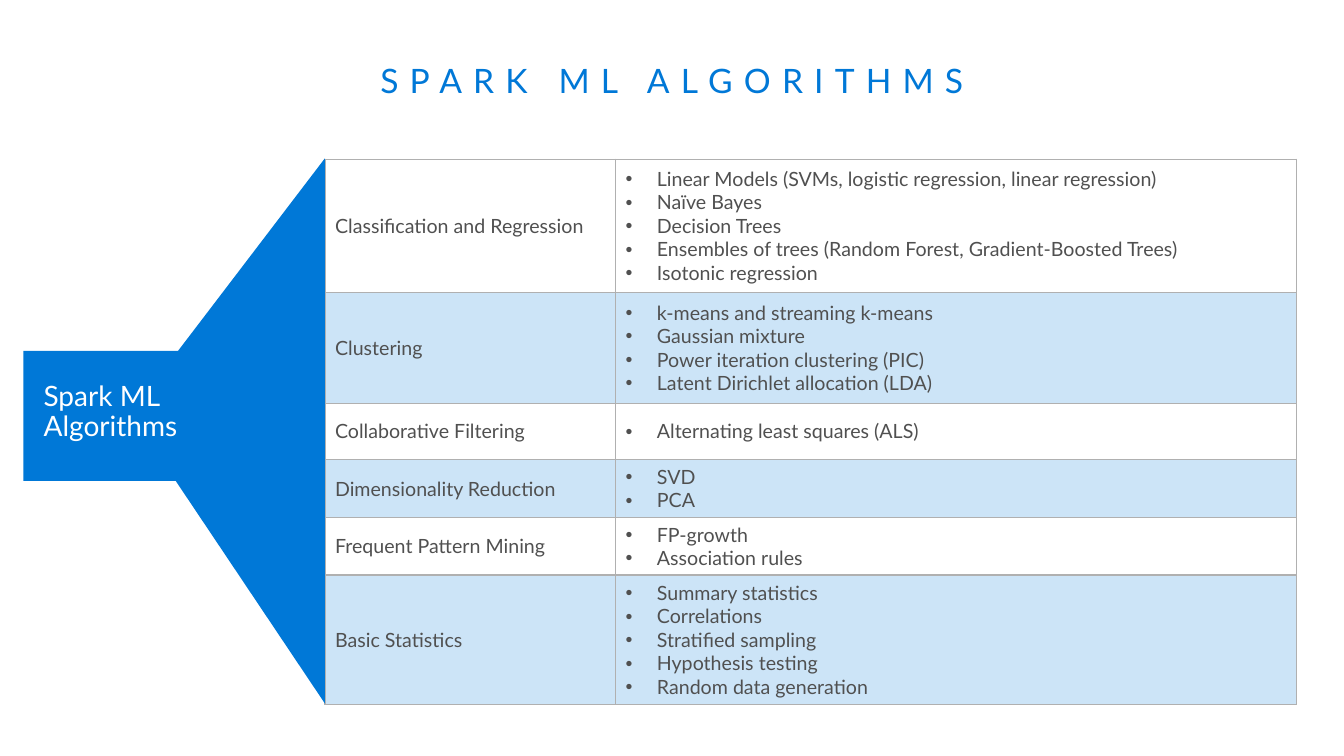
from lxml import etree
from pptx import Presentation
from pptx.dml.color import RGBColor
from pptx.enum.shapes import MSO_SHAPE
from pptx.enum.text import MSO_ANCHOR, MSO_AUTO_SIZE, PP_ALIGN
from pptx.oxml.ns import qn
from pptx.util import Cm, Pt

BLUE = RGBColor(0x00, 0x78, 0xD7)
GREY = RGBColor(0x50, 0x50, 0x50)
BORDER = RGBColor(0xB0, 0xB0, 0xB0)
WHITE = RGBColor(0xFF, 0xFF, 0xFF)
FONT = "Lato"
RECTANGLE = MSO_SHAPE.RECTANGLE
TRIANGLE = MSO_SHAPE.RIGHT_TRIANGLE
MIDDLE = MSO_ANCHOR.MIDDLE
TOP = MSO_ANCHOR.TOP
CENTER = PP_ALIGN.CENTER
LEFT = PP_ALIGN.LEFT
FIT_SHAPE = MSO_AUTO_SIZE.SHAPE_TO_FIT_TEXT
NO_AUTOFIT = MSO_AUTO_SIZE.NONE
TITLE_ONLY = 5

COLUMN_WIDTHS = (Cm(7.32), Cm(17.17))
ALGORITHMS = [
    ("Classification and Regression", Cm(3.36), [
        "Linear Models (SVMs, logistic regression, linear regression)",
        "Naïve Bayes",
        "Decision Trees",
        "Ensembles of trees (Random Forest, Gradient-Boosted Trees)",
        "Isotonic regression"]),
    ("Clustering", Cm(2.79), [
        "k-means and streaming k-means",
        "Gaussian mixture",
        "Power iteration clustering (PIC)",
        "Latent Dirichlet allocation (LDA)"]),
    ("Collaborative Filtering", Cm(1.42), ["Alternating least squares (ALS)"]),
    ("Dimensionality Reduction", Cm(1.46), ["SVD", "PCA"]),
    ("Frequent Pattern Mining", Cm(1.45), ["FP-growth", "Association rules"]),
    ("Basic Statistics", Cm(3.26), [
        "Summary statistics",
        "Correlations",
        "Stratified sampling",
        "Hypothesis testing",
        "Random data generation"]),
]


def format_font(font, size, color):
    """Apply the slide's typeface with a size and colour."""
    font.name = FONT
    font.size = Pt(size)
    font.bold = False
    font.color.rgb = color


def set_margins(text_frame, horizontal, vertical):
    """Set equal side margins and equal top and bottom margins."""
    text_frame.margin_left = text_frame.margin_right = horizontal
    text_frame.margin_top = text_frame.margin_bottom = vertical


def add_title(slide, left, top, width, height):
    """Place the letter-spaced title in the given box."""
    title = slide.shapes.title
    title.left, title.top, title.width, title.height = left, top, width, height
    text_frame = title.text_frame
    text_frame.text = "SPARK ML ALGORITHMS"
    text_frame.word_wrap = True
    text_frame.auto_size = NO_AUTOFIT
    text_frame.vertical_anchor = MIDDLE
    set_margins(text_frame, Cm(0.41), Cm(0.25))
    paragraph = text_frame.paragraphs[0]
    paragraph.alignment = CENTER
    paragraph.line_spacing = 0.9
    run = paragraph.runs[0]
    format_font(run.font, 24, BLUE)
    run.font._element.set("spc", "800")


def add_bullet(paragraph):
    """Give a paragraph a round bullet with a hanging indent."""
    properties = paragraph._p.get_or_add_pPr()
    properties.set("marL", str(Cm(0.79)))
    properties.set("indent", str(-Cm(0.79)))
    etree.SubElement(properties, qn("a:buFont")).set("typeface", "Arial")
    etree.SubElement(properties, qn("a:buChar")).set("char", "•")


def style_cell(cell, shaded):
    """Draw the cell's borders and its translucent band if shaded."""
    properties = cell._tc.get_or_add_tcPr()
    for side in ("a:lnL", "a:lnR", "a:lnT", "a:lnB"):
        line = etree.SubElement(properties, qn(side), w=str(Pt(1)))
        fill = etree.SubElement(line, qn("a:solidFill"))
        etree.SubElement(fill, qn("a:srgbClr"), val=str(BORDER))
    if shaded:
        cell.fill.solid()
        cell.fill.fore_color.rgb = BLUE
        color = properties.find(qn("a:solidFill")).find(qn("a:srgbClr"))
        etree.SubElement(color, qn("a:alpha"), val="20000")
    else:
        cell.fill.background()
    cell.vertical_anchor = MIDDLE


def add_algorithm_table(slide, left, top, width, height):
    """Fill a banded table with algorithm families and their members."""
    table = slide.shapes.add_table(
        len(ALGORITHMS), len(COLUMN_WIDTHS), left, top, width, height).table
    table.first_row = False
    table.horz_banding = False
    for column, column_width in zip(table.columns, COLUMN_WIDTHS):
        column.width = column_width
    for index, (family, row_height, members) in enumerate(ALGORITHMS):
        table.rows[index].height = row_height
        family_cell, members_cell = table.rows[index].cells
        family_cell.text_frame.text = family
        members_cell.text_frame.text = "\n".join(members)
        for paragraph in members_cell.text_frame.paragraphs:
            add_bullet(paragraph)
        for cell in (family_cell, members_cell):
            style_cell(cell, index % 2 == 1)
            for paragraph in cell.text_frame.paragraphs:
                format_font(paragraph.runs[0].font, 14, GREY)


def add_blue_shape(slide, preset, left, top, width, height, flips=()):
    """Add a plain blue shape, mirrored along the named flips."""
    shape = slide.shapes.add_shape(preset, left, top, width, height)
    shape.shadow.inherit = False
    shape.fill.solid()
    shape.fill.fore_color.rgb = BLUE
    shape.line.fill.background()
    for flip in flips:
        shape._element.spPr.find(qn("a:xfrm")).set(flip, "1")


def add_funnel(slide, left, top, width, height):
    """Draw the labelled bar that widens to the box's right edge."""
    bar_top, bar_height = top + Cm(4.85), Cm(3.28)
    bar_bottom = bar_top + bar_height
    wedge_width = Cm(3.76)
    wedge_left = left + width - wedge_width
    add_blue_shape(slide, RECTANGLE, left, bar_top, width, bar_height)
    add_blue_shape(slide, TRIANGLE, wedge_left, top, wedge_width,
                   bar_top - top + Cm(0.08), ("flipH",))
    add_blue_shape(slide, TRIANGLE, wedge_left, bar_bottom, wedge_width,
                   top + height - bar_bottom, ("flipH", "flipV"))

    label = slide.shapes.add_textbox(left, bar_top + Cm(0.38), Cm(4.5), Cm(2.36))
    text_frame = label.text_frame
    text_frame.text = "Spark ML Algorithms"
    text_frame.word_wrap = True
    text_frame.auto_size = FIT_SHAPE
    text_frame.vertical_anchor = TOP
    set_margins(text_frame, Cm(0.51), Cm(0.41))
    paragraph = text_frame.paragraphs[0]
    paragraph.alignment = LEFT
    paragraph.line_spacing = 0.9
    paragraph.space_after = Pt(6)
    format_font(paragraph.runs[0].font, 20, WHITE)


def main():
    """Build the slide and save the presentation."""
    presentation = Presentation()
    presentation.slide_width = Cm(33.87)
    presentation.slide_height = Cm(19.05)
    slide = presentation.slides.add_slide(presentation.slide_layouts[TITLE_ONLY])
    add_title(slide, Cm(0.74), Cm(0.84), Cm(32.39), Cm(2.49))
    add_algorithm_table(slide, Cm(8.19), Cm(4.01), sum(COLUMN_WIDTHS), Cm(13.74))
    add_funnel(slide, Cm(0.59), Cm(3.99), Cm(7.6), Cm(13.74))
    presentation.save("out.pptx")


if __name__ == "__main__":
    main()
